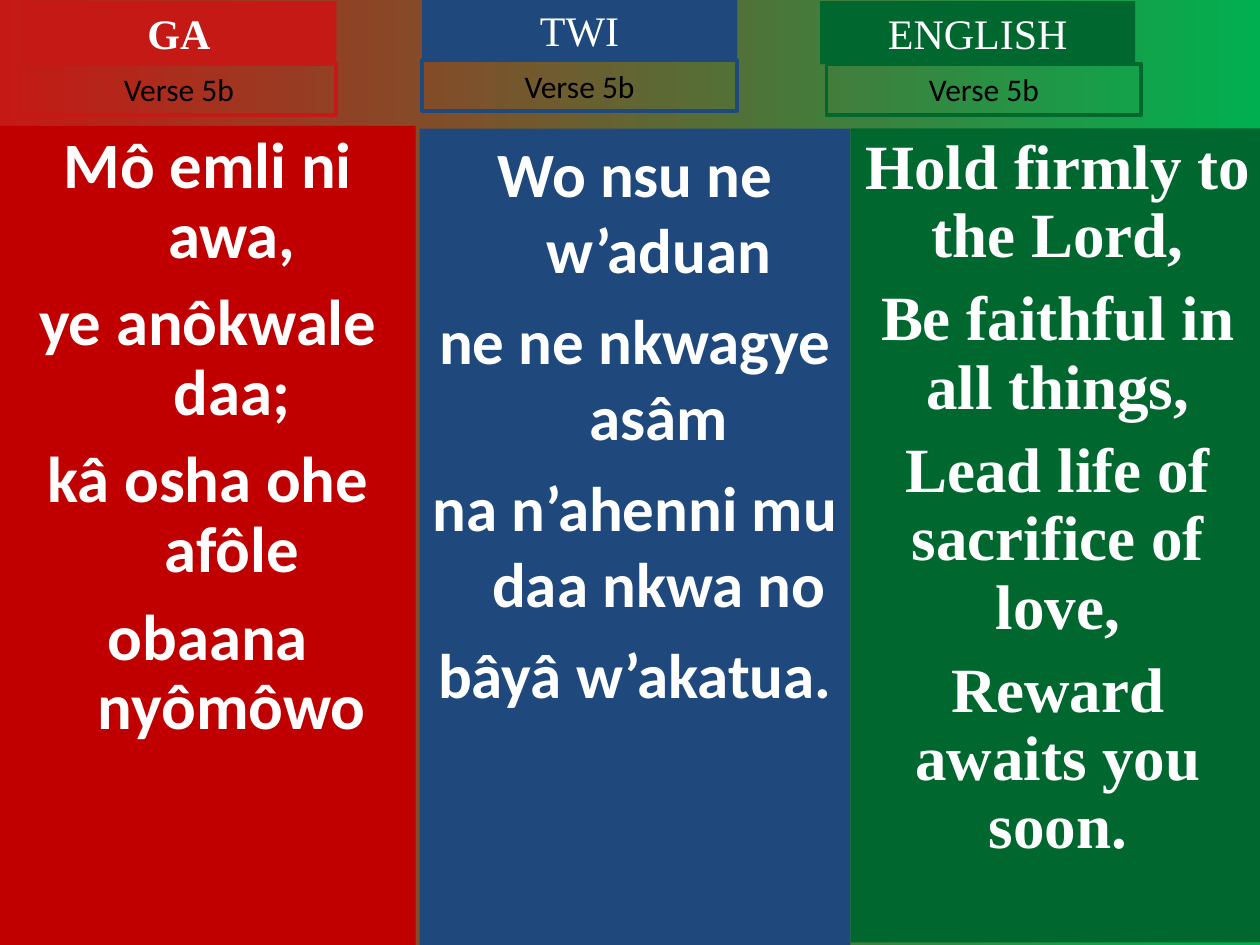
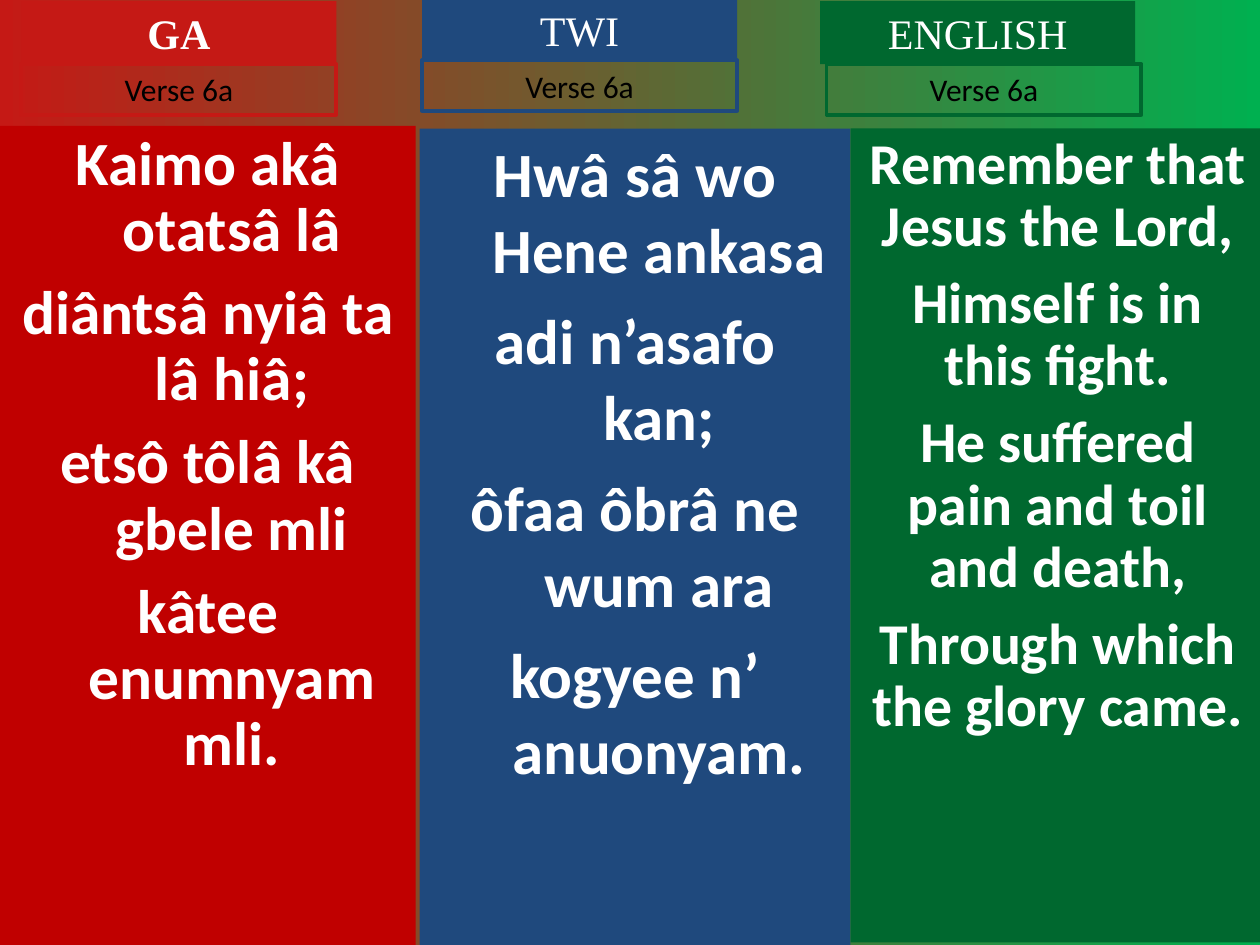
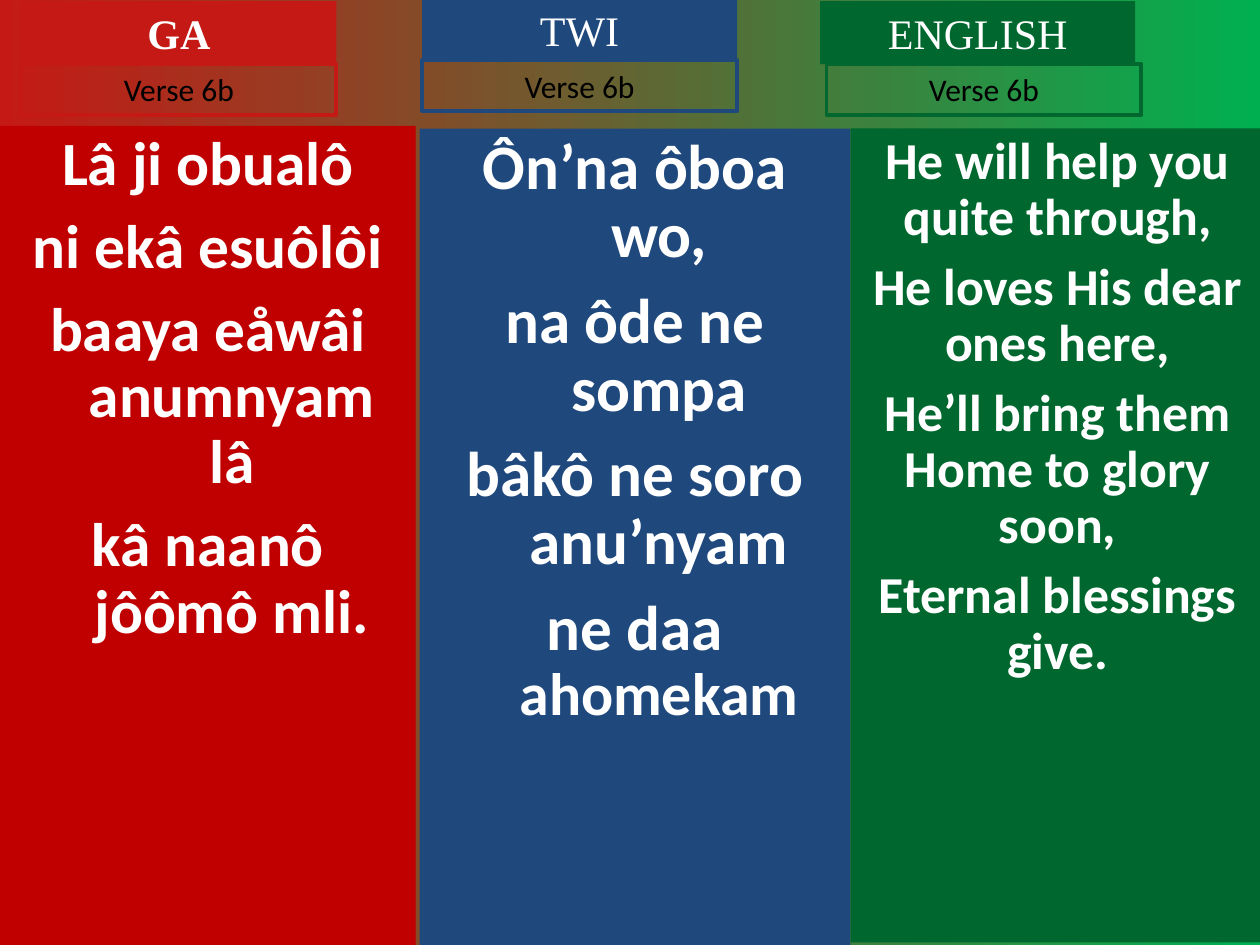
import dataclasses

import pptx
import pptx.dml.color
import pptx.enum.shapes
import pptx.enum.text
import pptx.util


@dataclasses.dataclass(frozen=True)
class Theme:
    back_from: str = "C51915"
    back_to: str = "00B050"
    light: str = "FFFFFF"
    dark: str = "000000"
    sans: str = "Calibri"
    serif: str = "Times New Roman"
    heading_size: float = 24
    label_size: float = 18
    border: float = 2.25
    hanging: float = 3.8


@dataclasses.dataclass(frozen=True)
class Language:
    name: str
    colour: str
    panel_colour: str
    panel: tuple
    heading: tuple
    label: tuple
    hanging: bool = True
    bold: bool = False


@dataclasses.dataclass(frozen=True)
class Verse:
    size: float
    gap: float
    lines: tuple
    leading: float = 0.9
    font: str = Theme.sans


LANGUAGES = (
    Language("GA", "C51915", "C00000", (0, 10, 33, 65),
             (1.7, 0.1, 25, 5), (1.7, 5.1, 25, 4), bold=True),
    Language("TWI", "1F497D", "1F497D", (33.3, 10.2, 34.2, 64.8),
             (33.5, -0.1, 25, 5), (33.5, 4.8, 25, 4)),
    Language("ENGLISH", "00682F", "00682F", (67.5, 10.2, 32.9, 64.6),
             (65.1, 0.1, 25, 5), (65.6, 5.1, 25, 4), hanging=False),
)

SLIDES = (
    ("Verse 5b", (
        Verse(37, 10, ("Mô emli ni awa,", "ye anôkwale daa;",
                       "kâ osha ohe afôle", "obaana nyômôwo")),
        Verse(36, 9, ("Wo nsu ne w’aduan", "ne ne nkwagye asâm",
                      "na n’ahenni mu daa nkwa no", "bâyâ w’akatua."), leading=1),
        Verse(36, 9, ("Hold firmly to the Lord,", "Be faithful in all things,",
                      "Lead life of sacrifice of love,", "Reward awaits you soon."),
              font=Theme.serif),
    )),
    ("Verse 6a", (
        Verse(35.1, 9.5, ("Kaimo akâ otatsâ lâ", "diântsâ nyiâ ta lâ hiâ;",
                          "etsô tôlâ kâ gbele mli", "kâtee enumnyam mli.")),
        Verse(36, 9, ("Hwâ sâ wo Hene ankasa", "adi n’asafo kan;",
                      "ôfaa ôbrâ ne wum ara", "kogyee n’ anuonyam."), leading=1),
        Verse(33, 8.2, ("Remember that Jesus the Lord,", "Himself is in this fight.",
                        "He suffered pain and toil and death,",
                        "Through which the glory came.")),
    )),
    ("Verse 6b", (
        Verse(35.1, 9.5, ("Lâ ji obualô", "ni ekâ esuôlôi",
                          "baaya eåwâi anumnyam lâ", "kâ naanô jôômô mli.")),
        Verse(36.1, 9.8, ("Ôn’na ôboa wo,", "na ôde ne sompa", "bâkô ne soro anu’nyam",
                          (("ne daa ", 36.1), ("ahomekam", 34.2)))),
        Verse(29.6, 8, ("He will help you quite through,", "He loves His dear ones here,",
                        "He’ll bring them Home to glory soon,",
                        "Eternal blessings give.")),
    )),
)


def rgb(value):
    return pptx.dml.color.RGBColor.from_string(value)


class Deck:
    COLUMNS = 100
    ROWS = 75

    def __init__(self, theme):
        self.theme = theme
        self.prs = pptx.Presentation()
        self.prs.slide_width = pptx.util.Inches(10)
        self.prs.slide_height = pptx.util.Inches(7.5)
        self.slide = None
        self.background()

    def cols(self, n):
        return round(self.prs.slide_width * n / self.COLUMNS)

    def rows(self, n):
        return round(self.prs.slide_height * n / self.ROWS)

    def background(self):
        fill = self.prs.slide_master.background.fill
        fill.gradient()
        fill.gradient_angle = 0
        for stop, colour in zip(fill.gradient_stops, (self.theme.back_from, self.theme.back_to)):
            stop.color.rgb = rgb(colour)

    def new_slide(self):
        self.slide = self.prs.slides.add_slide(self.prs.slide_layouts[6])

    def box(self, place, fill=None, line=None, grow=False):
        x, y, w, h = place
        sp = self.slide.shapes.add_shape(
            pptx.enum.shapes.MSO_SHAPE.RECTANGLE,
            self.cols(x), self.rows(y), self.cols(w), self.rows(h))
        sp.shadow.inherit = False
        if fill:
            sp.fill.solid()
            sp.fill.fore_color.rgb = rgb(fill)
        else:
            sp.fill.background()
        if line:
            sp.line.color.rgb = rgb(line)
            sp.line.width = pptx.util.Pt(self.theme.border)
        else:
            sp.line.fill.background()
        tf = sp.text_frame
        tf.word_wrap = True
        tf.vertical_anchor = pptx.enum.text.MSO_ANCHOR.TOP
        if grow:
            tf.auto_size = pptx.enum.text.MSO_AUTO_SIZE.SHAPE_TO_FIT_TEXT
        return tf

    def paragraph(self, p, runs, font, colour, bold=False):
        p.alignment = pptx.enum.text.PP_ALIGN.CENTER
        for text, size in runs:
            r = p.add_run()
            r.text = text
            r.font.size = pptx.util.Pt(size)
            r.font.name = font
            r.font.bold = bold
            r.font.color.rgb = rgb(colour)

    def heading(self, lang):
        t = self.theme
        tf = self.box(lang.heading, fill=lang.colour, grow=True)
        self.paragraph(tf.paragraphs[0], [(lang.name, t.heading_size)], t.serif, t.light, lang.bold)

    def label(self, lang, text):
        t = self.theme
        tf = self.box(lang.label, line=lang.colour, grow=True)
        self.paragraph(tf.paragraphs[0], [(text, t.label_size)], t.sans, t.dark)

    def panel(self, lang, verse):
        tf = self.box(lang.panel, fill=lang.panel_colour)
        for i, line in enumerate(verse.lines):
            p = tf.add_paragraph() if i else tf.paragraphs[0]
            p.line_spacing = float(verse.leading)
            if i:
                p.space_before = pptx.util.Pt(verse.gap)
            if lang.hanging:
                indent = self.cols(self.theme.hanging)
                pPr = p._p.get_or_add_pPr()
                pPr.set("marL", str(indent))
                pPr.set("indent", str(-indent))
            runs = [(line, verse.size)] if isinstance(line, str) else line
            self.paragraph(p, runs, verse.font, self.theme.light, bold=True)


def main():
    deck = Deck(Theme())
    for label, verses in SLIDES:
        deck.new_slide()
        for lang, verse in zip(LANGUAGES, verses):
            deck.panel(lang, verse)
        for lang in LANGUAGES:
            deck.heading(lang)
            deck.label(lang, label)
    deck.prs.save("out.pptx")


if __name__ == "__main__":
    main()
